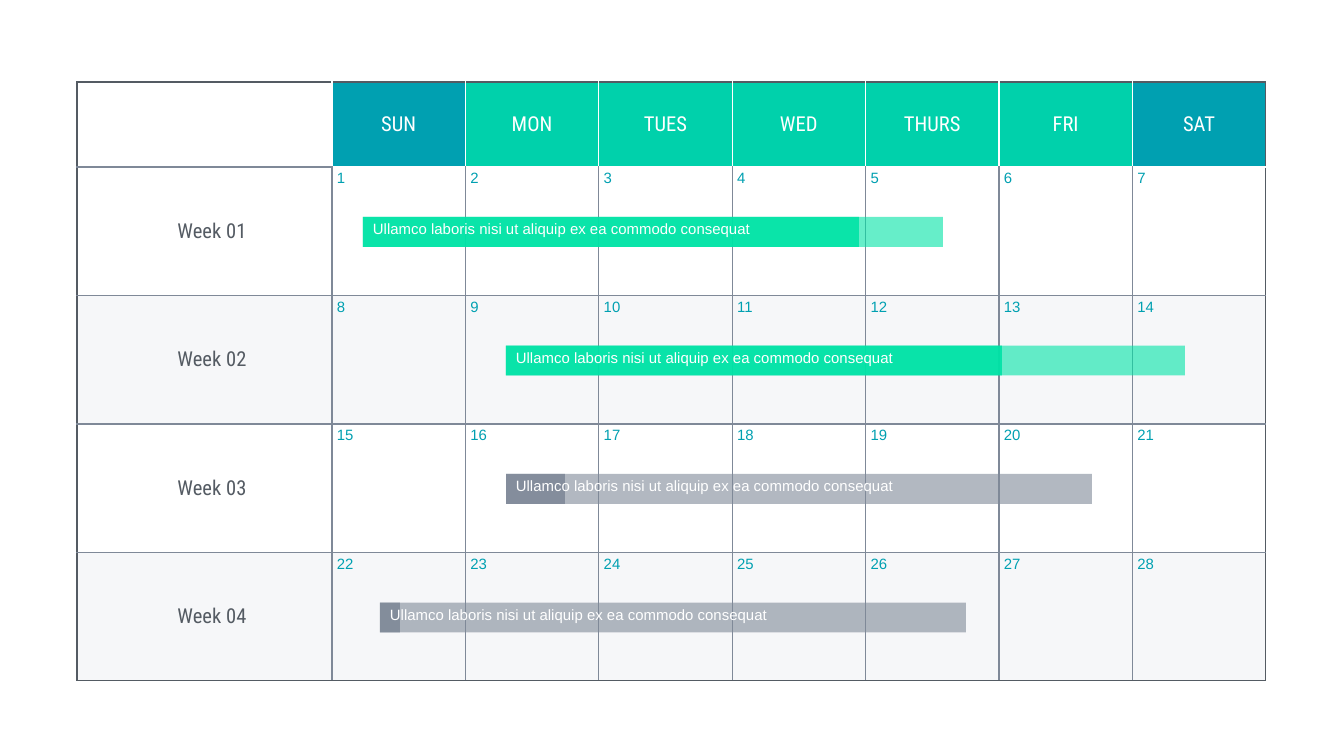
from dataclasses import dataclass

from lxml import etree
from pptx import Presentation
from pptx.dml.color import RGBColor
from pptx.enum.shapes import MSO_SHAPE
from pptx.enum.text import MSO_ANCHOR, PP_ALIGN
from pptx.oxml.ns import qn
from pptx.util import Pt

RECTANGLE = MSO_SHAPE.RECTANGLE
TOP, MIDDLE = MSO_ANCHOR.TOP, MSO_ANCHOR.MIDDLE
LEFT, CENTER = PP_ALIGN.LEFT, PP_ALIGN.CENTER

EMU_PER_PX = 914400 / 134.4
SLIDE_W, SLIDE_H = 1344, 756
TABLE_X, TABLE_Y = 77, 82
WEEK_COLUMN_W, DAYS_W = 255, 934
HEADER_H, WEEKS_H = 85, 514
BAR_DROP, BAR_H = 50, 30
LABEL_SHIFT, LABEL_W, LABEL_H = 5, 418, 24
INSET_X, INSET_Y, WEEK_INSET = 5, 3, 20


@dataclass(frozen=True)
class Theme:
    weekend: str = "00A0B1"
    weekday: str = "00D1AB"
    active: str = "00E3A6"
    grid: str = "7F8998"
    ink: str = "545B63"
    white: str = "FFFFFF"
    band: str = "EEF0F4"
    heading_font: str = "Roboto Condensed"
    body_font: str = "Arial"
    heading_size: int = 11
    body_size: int = 8
    border_width: float = 0.75


@dataclass(frozen=True)
class Task:
    week: int
    x: int
    length: int
    done: int
    color: str


THEME = Theme()
DAYS = ("SUN", "MON", "TUES", "WED", "THURS", "FRI", "SAT")
WEEK_COUNT = 4
TASK_LABEL = "Ullamco laboris nisi ut aliquip ex ea commodo consequat"
TASKS = (
    Task(0, 363, 580, 496, THEME.active),
    Task(1, 506, 679, 496, THEME.active),
    Task(2, 506, 586, 59, THEME.grid),
    Task(3, 380, 586, 20, THEME.grid),
)


def px(length: float) -> int:
    return round(length * EMU_PER_PX)


def write(holder, frame, text: str, *, font: str = THEME.body_font,
          size: int = THEME.body_size, color: str = THEME.weekend,
          align=LEFT, anchor=TOP, left: int = INSET_X) -> None:
    """Put text in a frame; holder is the cell or frame that owns the insets."""
    holder.margin_left, holder.margin_right = px(left), px(INSET_X)
    holder.margin_top = holder.margin_bottom = px(INSET_Y)
    holder.vertical_anchor = anchor
    paragraph = frame.paragraphs[0]
    paragraph.alignment = align
    run = paragraph.add_run()
    run.text = text
    run.font.name, run.font.size = font, Pt(size)
    run.font.color.rgb = RGBColor.from_string(color)


def paint(fill, properties, color: str, opacity: int = 100) -> None:
    """Fill with a colour; properties is the XML element that holds the fill."""
    fill.solid()
    fill.fore_color.rgb = RGBColor.from_string(color)
    if opacity < 100:
        tone = properties.find(qn("a:solidFill")).find(qn("a:srgbClr"))
        etree.SubElement(tone, qn("a:alpha"), val=str(opacity * 1000))


def border_color(row: int, column: int, row_step: int, column_step: int) -> str:
    """Outer edges are ink, edges of day headings white, all others grid grey."""
    next_row, next_column = row + row_step, column + column_step
    if not (0 <= next_row <= WEEK_COUNT and 0 <= next_column <= len(DAYS)):
        return THEME.ink
    touches_heading = any(r == 0 and c > 0 for r, c in
                          ((row, column), (next_row, next_column)))
    return THEME.white if touches_heading else THEME.grid


def draw_borders(cell, row: int, column: int) -> None:
    properties = cell._tc.get_or_add_tcPr()
    sides = (("a:lnL", 0, -1), ("a:lnR", 0, 1), ("a:lnT", -1, 0), ("a:lnB", 1, 0))
    for position, (tag, row_step, column_step) in enumerate(sides):
        line = etree.Element(qn(tag), w=str(Pt(THEME.border_width)))
        solid = etree.SubElement(line, qn("a:solidFill"))
        etree.SubElement(solid, qn("a:srgbClr"),
                         val=border_color(row, column, row_step, column_step))
        properties.insert(position, line)


def fill_cell(cell, row: int, column: int) -> None:
    properties = cell._tc.get_or_add_tcPr()
    heading = dict(font=THEME.heading_font, size=THEME.heading_size,
                   align=CENTER, anchor=MIDDLE)
    if row == 0 and column > 0:
        is_weekend = column in (1, len(DAYS))
        paint(cell.fill, properties, THEME.weekend if is_weekend else THEME.weekday)
        write(cell, cell.text_frame, DAYS[column - 1], color=THEME.white, **heading)
    elif row > 0 and row % 2 == 0:
        paint(cell.fill, properties, THEME.band, 50)
    else:
        cell.fill.background()
    if row > 0 and column == 0:
        write(cell, cell.text_frame, f"Week {row:02}", color=THEME.ink,
              left=WEEK_INSET, **heading)
    elif row > 0:
        write(cell, cell.text_frame, str((row - 1) * len(DAYS) + column))
    draw_borders(cell, row, column)


def draw_calendar(slide) -> None:
    calendar = slide.shapes.add_table(
        WEEK_COUNT + 1, len(DAYS) + 1, px(TABLE_X), px(TABLE_Y),
        px(WEEK_COLUMN_W + DAYS_W), px(HEADER_H + WEEKS_H)).table
    calendar.first_row = calendar.horz_banding = False
    for column, grid_column in enumerate(calendar.columns):
        grid_column.width = px(DAYS_W / len(DAYS) if column else WEEK_COLUMN_W)
    for row, grid_row in enumerate(calendar.rows):
        grid_row.height = px(WEEKS_H / WEEK_COUNT if row else HEADER_H)
        for column, cell in enumerate(grid_row.cells):
            fill_cell(cell, row, column)


def draw_task(slide, task: Task) -> None:
    y = TABLE_Y + HEADER_H + task.week * WEEKS_H / WEEK_COUNT + BAR_DROP
    group = slide.shapes.add_group_shape()
    for length, opacity in ((task.length, 60), (task.done, 90)):
        bar = group.shapes.add_shape(RECTANGLE, px(task.x), px(y),
                                     px(length), px(BAR_H))
        bar.shadow.inherit = False
        bar.line.fill.background()
        paint(bar.fill, bar._element.spPr, task.color, opacity)
    label = group.shapes.add_textbox(px(task.x + LABEL_SHIFT), px(y),
                                     px(LABEL_W), px(LABEL_H)).text_frame
    label.word_wrap = True
    write(label, label, TASK_LABEL, color=THEME.white)


def main() -> None:
    presentation = Presentation()
    presentation.slide_width, presentation.slide_height = px(SLIDE_W), px(SLIDE_H)
    blank_layout = presentation.slide_layouts[6]
    slide = presentation.slides.add_slide(blank_layout)
    draw_calendar(slide)
    for task in TASKS:
        draw_task(slide, task)
    presentation.save("out.pptx")


if __name__ == "__main__":
    main()
